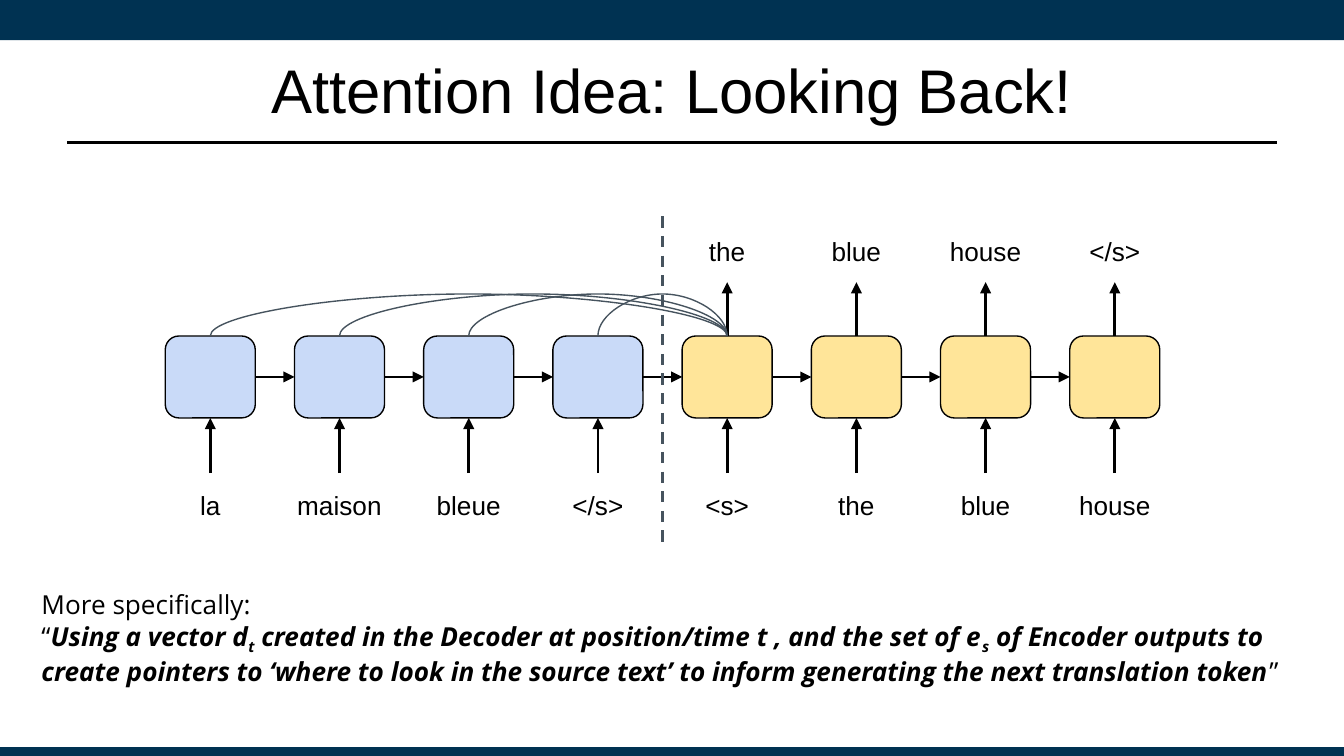
import pptx
import pptx.dml.color
import pptx.enum.dml
import pptx.enum.shapes
import pptx.enum.text
import pptx.util
from lxml import etree
from pptx.oxml.ns import qn

Inches = pptx.util.Inches
Pt = pptx.util.Pt
RGBColor = pptx.dml.color.RGBColor
Shape = pptx.enum.shapes.MSO_SHAPE
Link = pptx.enum.shapes.MSO_CONNECTOR
Align = pptx.enum.text.PP_ALIGN
Anchor = pptx.enum.text.MSO_ANCHOR

NAVY = RGBColor(0x00, 0x32, 0x52)
BLACK = RGBColor(0x00, 0x00, 0x00)
BLUE = RGBColor(0xC9, 0xDA, 0xF8)
YELLOW = RGBColor(0xFF, 0xE5, 0x99)
SLATE = RGBColor(0x46, 0x53, 0x5E)

WIDTH = 10
HEIGHT = WIDTH * 9 / 16
TOP, BOTTOM, LEFT, RIGHT = 0, 2, 1, 3  # connection sites
CELL_W, CELL_H = 0.67, 0.61
LABEL_W, LABEL_H = 0.96, 0.47
SOURCE = ["la", "maison", "bleue", "</s>"]
TARGET = ["<s>", "the", "blue", "house"]
OUTPUT = ["the", "blue", "house", "</s>"]


def add_box(slide, kind, x, y, w, h, fill=None, edge=None):
    box = slide.shapes.add_shape(kind, Inches(x), Inches(y), Inches(w), Inches(h))
    box.shadow.inherit = False
    if fill is None:
        box.fill.background()
    else:
        box.fill.solid()
        box.fill.fore_color.rgb = fill
    if edge is None:
        box.line.fill.background()
    else:
        box.line.color.rgb = edge
        box.line.width = Pt(0.75)
    return box


def set_frame(shape, side, top):
    frame = shape.text_frame
    frame.word_wrap = True
    frame.margin_left = frame.margin_right = Inches(side)
    frame.margin_top = frame.margin_bottom = Inches(top)
    return frame


def add_run(para, text, size, font, bold=None, base=0):
    """Add a run; bold text is also italic, and base is a shift in percent."""
    run = para.add_run()
    run.text = text
    run.font.size = Pt(size)
    run.font.name = font
    run.font.color.rgb = BLACK
    run.font.bold = run.font.italic = bold
    if base:
        run.font._element.set("baseline", str(base * 1000))


def style_line(line, color, width, dash=None, head=False):
    line.line.color.rgb = color
    line.line.width = Pt(width)
    if dash:
        line.line.dash_style = dash
    if head:
        etree.SubElement(line.line._get_or_add_ln(), qn("a:tailEnd"), type="triangle")
    etree.SubElement(line._element.spPr, qn("a:effectLst"))


def add_line(slide, x1, y1, x2, y2, color, width, dash=None):
    line = slide.shapes.add_connector(
        Link.STRAIGHT, Inches(x1), Inches(y1), Inches(x2), Inches(y2))
    style_line(line, color, width, dash)


def add_arrow(slide, start, site1, end, site2):
    line = slide.shapes.add_connector(Link.STRAIGHT, 0, 0, 0, 0)
    line.begin_connect(start, site1)
    line.end_connect(end, site2)
    style_line(line, BLACK, 1.5, head=True)


def add_arc(slide, start, end):
    """Curve from the top of start back to the top of end, bulging upward."""
    line = slide.shapes.add_connector(Link.CURVE, 0, 0, 0, 0)
    line.begin_connect(start, TOP)
    line.end_connect(end, TOP)
    # A thin frame turned by 90 degrees; the bend is a multiple of its width.
    span, thin, rise = start.left - end.left, 600, Inches(0.26)
    line.left = (start.left + end.left + start.width - thin) // 2
    line.top = start.top - span // 2
    line.width, line.height = thin, span
    props = line._element.spPr
    xfrm = props.find(qn("a:xfrm"))
    xfrm.attrib.pop("flipH", None)
    xfrm.set("rot", str(90 * 60000))
    guides = props.find(qn("a:prstGeom")).get_or_add_avLst()
    bend = -rise * 100000 // thin
    etree.SubElement(guides, qn("a:gd"), name="adj1", fmla=f"val {bend}")
    style_line(line, SLATE, 0.75)


def add_label(slide, text, mid, y):
    label = add_box(slide, Shape.ROUNDED_RECTANGLE, mid - LABEL_W / 2, y, LABEL_W, LABEL_H)
    frame = set_frame(label, 0.1, 0.1)
    frame.vertical_anchor = Anchor.MIDDLE
    para = frame.paragraphs[0]
    para.alignment = Align.CENTER
    add_run(para, text, 14, "Arial")
    return label


def add_header(slide, x, y, w, h):
    add_box(slide, Shape.RECTANGLE, 0, 0, WIDTH, 0.3, NAVY)
    add_box(slide, Shape.RECTANGLE, 0, 5.56, WIDTH, HEIGHT - 5.56, NAVY)
    add_line(slide, x, y + 0.87, x + w, y + 0.87, BLACK, 1.25)
    title = slide.shapes.add_textbox(Inches(x), Inches(y), Inches(w), Inches(h))
    frame = set_frame(title, 0.07, 0.04)
    frame.vertical_anchor = Anchor.MIDDLE
    para = frame.paragraphs[0]
    para.alignment = Align.CENTER
    add_run(para, "Attention Idea: Looking Back!", 33, "Arial")


def add_network(slide, x, y, w, h):
    """Draw encoder and decoder cells in a row, with words below and above."""
    words = SOURCE + TARGET
    first = len(SOURCE)
    pitch = (w - CELL_W) / (len(words) - 1)
    cells = []
    for i, word in enumerate(words):
        left = x + i * pitch
        mid = left + CELL_W / 2
        fill = BLUE if i < first else YELLOW
        cell = add_box(slide, Shape.ROUNDED_RECTANGLE, left, y + 0.89,
                       CELL_W, CELL_H, fill, BLACK)
        add_arrow(slide, add_label(slide, word, mid, y + 1.91), TOP, cell, BOTTOM)
        if i >= first:
            label = add_label(slide, OUTPUT[i - first], mid, y + 0.02)
            add_arrow(slide, cell, TOP, label, BOTTOM)
        if cells:
            add_arrow(slide, cells[-1], RIGHT, cell, LEFT)
        cells.append(cell)
    add_line(slide, x + w / 2, y, x + w / 2, y + h, SLATE, 1.5,
             pptx.enum.dml.MSO_LINE.DASH)
    for cell in reversed(cells[:first]):
        add_arc(slide, cells[first], cell)


def add_quote(slide, x, y, w, h):
    box = slide.shapes.add_textbox(Inches(x), Inches(y), Inches(w), Inches(h))
    para = set_frame(box, 0.1, 0.1).paragraphs[0]
    add_run(para, "More specifically:", 14, "Open Sans")
    para.add_line_break()
    parts = [
        ("“", False, 0),
        ("Using a vector d", True, 0),
        ("t", True, -25),
        (" created in the Decoder at position/time t , and the set of e", True, 0),
        ("s", True, -25),
        (" of Encoder outputs to create pointers to ‘where to look in the source "
         "text’ to inform generating the next translation token", True, 0),
        ("”", False, 0),
    ]
    for text, bold, base in parts:
        add_run(para, text, 14, "Open Sans", bold, base)


def main():
    deck = pptx.Presentation()
    deck.slide_width, deck.slide_height = Inches(WIDTH), Inches(HEIGHT)
    slide = deck.slides.add_slide(deck.slide_layouts[6])
    add_header(slide, 0.5, 0.19, 9, 0.94)
    add_network(slide, 1.23, 1.61, 7.4, 2.43)
    add_quote(slide, 0.21, 4.28, 9.62, 0.91)
    deck.save("out.pptx")


if __name__ == "__main__":
    main()
